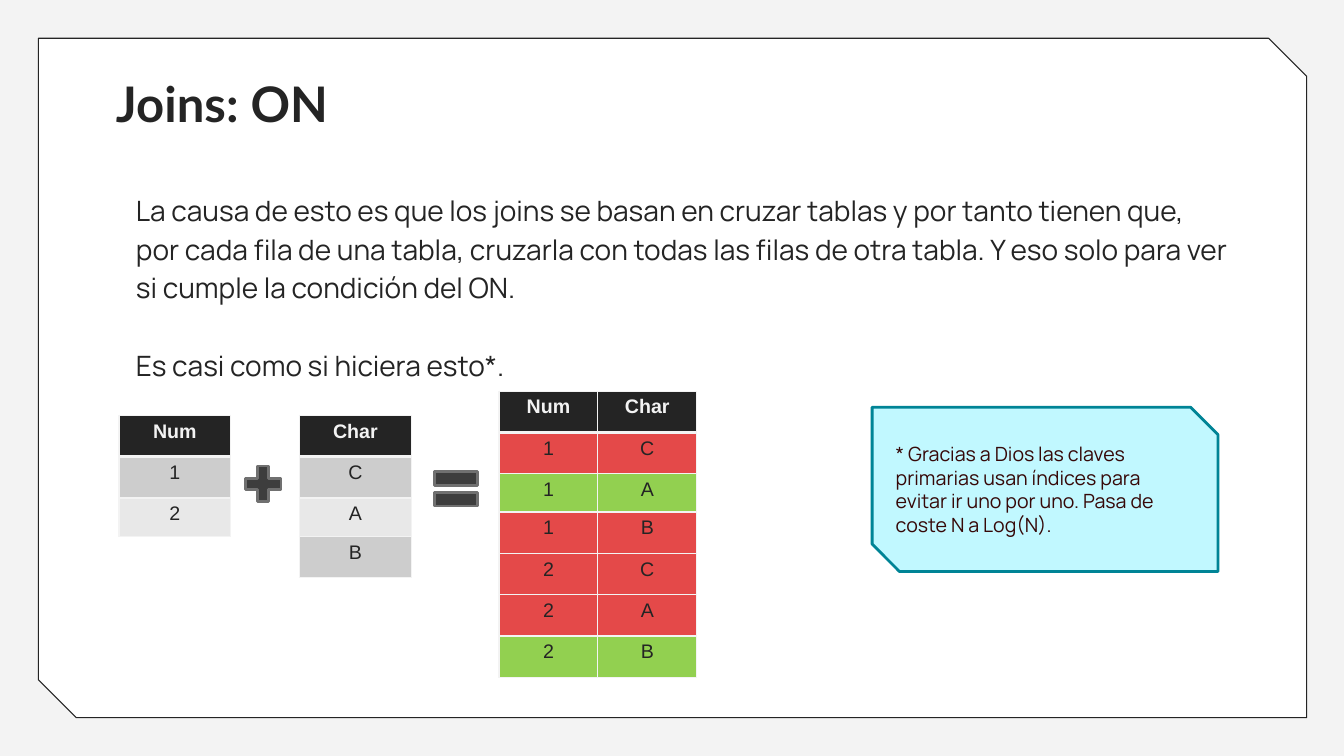
import pptx
import pptx.util
import pptx.dml.color
import pptx.enum.shapes
import pptx.enum.text
import pptx.oxml
import pptx.oxml.ns

Inches, Pt = pptx.util.Inches, pptx.util.Pt
SHAPE = pptx.enum.shapes.MSO_SHAPE
ALIGN, ANCHOR = pptx.enum.text.PP_ALIGN, pptx.enum.text.MSO_ANCHOR

LIGHT, DARK, WHITE = "F3F3F3", "242424", "FFFFFF"
GRAY, PALE = "CDCDCD", "E8E8E8"
RED, GREEN = "E44949", "92D050"

TITLE = "Joins: ON"
BODY = [
    "La causa de esto es que los joins se basan en cruzar tablas y por tanto tienen que, "
    "por cada fila de una tabla, cruzarla con todas las filas de otra tabla. "
    "Y eso solo para ver si cumple la condición del ON.",
    "Es casi como si hiciera esto*.",
]
NOTE = ("* Gracias a Dios las claves primarias usan índices para evitar ir uno por uno. "
        "Pasa de coste N a Log(N).")

NUMS, CHARS = ["1", "2"], ["C", "A", "B"]
MATCHES = [("1", "A"), ("2", "B")]
PAIRS = [(n, c) for n in NUMS for c in CHARS]

# left, top, column width, header, rows, row fills
TABLES = [
    (1.18, 4.12, 1.11, ["Num"], [(n,) for n in NUMS], [GRAY, PALE]),
    (2.97, 4.12, 1.11, ["Char"], [(c,) for c in CHARS], [GRAY, PALE, GRAY]),
    (4.95, 3.88, 0.98, ["Num", "Char"], PAIRS,
     [GREEN if pair in MATCHES else RED for pair in PAIRS]),
]
ROW_H, SECOND_ROW_H = 0.41, 0.38

# preset, left, top, side
SYMBOLS = [(SHAPE.MATH_PLUS, 2.37, 4.56, 0.48), (SHAPE.MATH_EQUAL, 4.23, 4.56, 0.58)]


def rgb(color):
    return pptx.dml.color.RGBColor.from_string(color)


def format_runs(p, size, font, color, bold=False):
    for r in p.runs:
        r.font.size, r.font.name, r.font.bold = Pt(size), font, bold
        r.font.color.rgb = rgb(color)


def add_shape(shapes, preset, box, fill, line, width):
    sp = shapes.add_shape(preset, *map(Inches, box))
    sp.shadow.inherit = False
    sp.fill.solid()
    sp.fill.fore_color.rgb = rgb(fill)
    sp.line.color.rgb = rgb(line)
    sp.line.width = Pt(width)
    return sp


def set_margins(tf):
    tf.word_wrap = True
    tf.margin_left = tf.margin_right = tf.margin_top = tf.margin_bottom = Inches(0.1)


def set_borders(cell, widths):
    """Draw light borders; widths maps a side (L, R, T, B) to points."""
    tc_pr = cell._tc.get_or_add_tcPr()
    for side, width in widths.items():
        tc_pr.append(pptx.oxml.parse_xml(
            f'<a:ln{side} {pptx.oxml.ns.nsdecls("a")} w="{Pt(width)}"><a:solidFill>'
            f'<a:srgbClr val="{LIGHT}"/></a:solidFill></a:ln{side}>'))


def add_table(shapes, left, top, col_w, header, rows, fills):
    heights = [SECOND_ROW_H if i == 2 else ROW_H for i in range(len(rows) + 1)]
    table = shapes.add_table(len(heights), len(header), Inches(left), Inches(top),
                             Inches(col_w * len(header)), Inches(sum(heights))).table
    for col in table.columns:
        col.width = Inches(col_w)
    for i, (texts, fill) in enumerate(zip([header, *rows], [DARK, *fills])):
        table.rows[i].height = Inches(heights[i])
        for j, text in enumerate(texts):
            cell = table.cell(i, j)
            set_borders(cell, {"L": 1, "R": 1, "T": 3 if i == 1 else 1,
                               "B": 3 if i == 0 else 1})
            cell.fill.solid()
            cell.fill.fore_color.rgb = rgb(fill)
            cell.text_frame.text = text
            p = cell.text_frame.paragraphs[0]
            p.alignment = ALIGN.CENTER
            format_runs(p, 14, "Arial", LIGHT if i == 0 else DARK, bold=i == 0)


def main():
    prs = pptx.Presentation()
    prs.slide_width, prs.slide_height = Inches(13.33), Inches(7.5)
    s = prs.slides.add_slide(prs.slide_layouts[5])
    s.background.fill.solid()
    s.background.fill.fore_color.rgb = rgb(LIGHT)

    frame = add_shape(s.shapes, SHAPE.SNIP_2_DIAG_RECTANGLE,
                      (0.38, 0.38, 12.58, 6.74), WHITE, DARK, 0.75)
    frame.adjustments[0], frame.adjustments[1] = 0, 0.056

    title = s.shapes.title
    s.shapes._spTree.append(title._element)  # in front of the frame
    title.left, title.top, title.width, title.height = map(Inches, (1.05, 0.63, 11.23, 0.84))
    tf = title.text_frame
    tf.text = TITLE
    set_margins(tf)
    tf.vertical_anchor = ANCHOR.TOP
    tf.paragraphs[0].alignment = ALIGN.LEFT
    format_runs(tf.paragraphs[0], 35, "Lato", DARK, bold=True)

    tf = s.shapes.add_textbox(*map(Inches, (1.05, 1.77, 11.23, 4.98))).text_frame
    set_margins(tf)
    tf.text = "\n".join(BODY)
    for i, p in enumerate(tf.paragraphs):
        p.line_spacing = 1.15
        p.space_before = Pt(27.6 if i else 0)
        p._p.get_or_add_pPr().set("marL", str(Inches(0.2)))
        format_runs(p, 20, "Manrope", DARK)

    for spec_row in TABLES:
        add_table(s.shapes, *spec_row)
    for preset, left, top, side in SYMBOLS:
        add_shape(s.shapes, preset, (left, top, side, side), "3D3D3D", "707070", 2)

    note = add_shape(s.shapes, SHAPE.SNIP_2_DIAG_RECTANGLE,
                     (8.65, 4.04, 3.43, 1.63), "C1F8FF", "008496", 2)
    tf = note.text_frame
    tf.word_wrap = True
    tf.vertical_anchor = ANCHOR.MIDDLE
    tf.text = NOTE
    tf.paragraphs[0].alignment = ALIGN.LEFT
    format_runs(tf.paragraphs[0], 14, "Manrope", "360808")

    prs.save("out.pptx")


if __name__ == "__main__":
    main()
